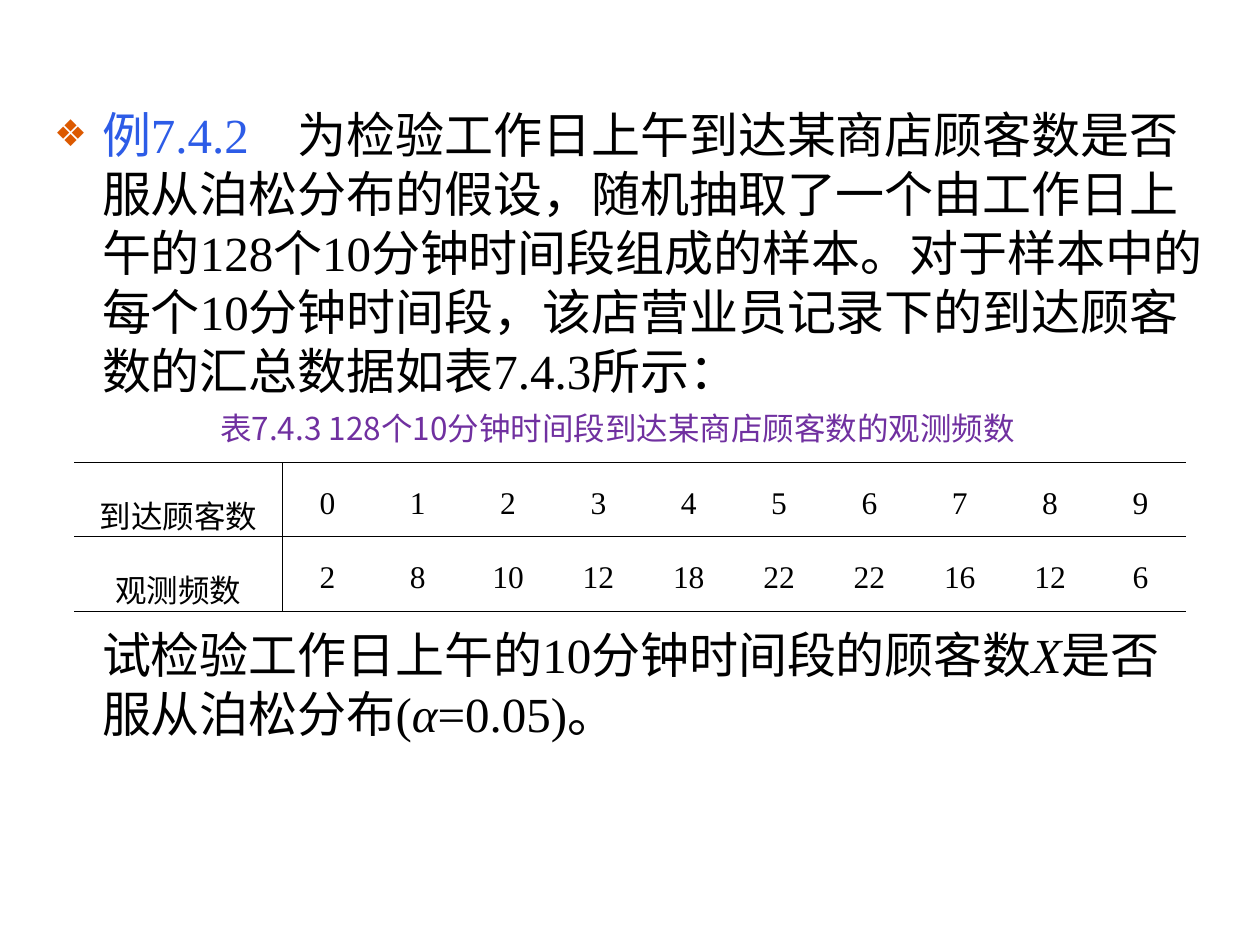
import pptx
import pptx.util
import pptx.dml.color
import pptx.enum.text
import pptx.oxml
import pptx.oxml.ns
from pptx.util import Inches
from lxml import etree

LATIN = "Times New Roman"
CJK = "Noto Sans CJK SC"
BLACK, BLUE, PURPLE, ORANGE = "000000", "2D5CE7", "7030A0", "DC5900"


def rgb(value):
    return pptx.dml.color.RGBColor.from_string(value)


def sub(parent, tag, **attrs):
    return etree.SubElement(parent, pptx.oxml.ns.qn(tag), attrs)


def add_run(p, text, size, color=BLACK, font=LATIN, italic=False):
    r = p.add_run()
    r.text = text
    r.font.size = pptx.util.Pt(size)
    r.font.name = font
    r.font.italic = italic
    r.font.color.rgb = rgb(color)
    sub(r.font._element, "a:ea", typeface=CJK)


def format_paragraph(p, bullet=None, before=0):
    """Hanging paragraph of the body, with or without a bullet."""
    pPr = p._p.get_or_add_pPr()
    pPr.set("marL", str(Inches(0.38)))
    pPr.set("indent", str(-Inches(0.38) if bullet else 0))
    if bullet:
        sub(sub(pPr, "a:buClr"), "a:srgbClr", val=ORANGE)
        sub(pPr, "a:buSzPct", val="75000")
        sub(pPr, "a:buChar", char=bullet)
    else:
        sub(pPr, "a:buNone")
    p.line_spacing = pptx.util.Pt(33.7)
    p.space_before = pptx.util.Pt(before)


def add_body(slide):
    sp = slide.placeholders[1]
    sp.left, sp.top = Inches(0.33), Inches(0.78)
    sp.width, sp.height = Inches(9.34), Inches(5.91)
    tf = sp.text_frame
    tf.word_wrap = True
    tf.auto_size = pptx.enum.text.MSO_AUTO_SIZE.NONE

    p = tf.paragraphs[0]
    format_paragraph(p, bullet="❖")
    add_run(p, "例7.4.2　", 28, BLUE)
    add_run(p, "为检验工作日上午到达某商店顾客数是否服从泊松分布的假设，"
               "随机抽取了一个由工作日上午的128个10分钟时间段组成的样本。"
               "对于样本中的每个10分钟时间段，该店营业员记录下的到达顾客数的"
               "汇总数据如表7.4.3所示：", 28)

    # The space before leaves room for the caption and the table
    p = tf.add_paragraph()
    format_paragraph(p, before=128.6)
    for text, italic in [("试检验工作日上午的10分钟时间段的顾客数", False), ("X", True),
                         ("是否服从泊松分布(", False), ("α", True), ("=0.05)。", False)]:
        add_run(p, text, 28, italic=italic)


def add_caption(slide, text):
    sp = slide.shapes.add_textbox(Inches(1.65), Inches(3.2), Inches(6.84), Inches(0.4))
    tf = sp.text_frame
    tf.word_wrap = False
    tf.vertical_anchor = pptx.enum.text.MSO_ANCHOR.MIDDLE
    add_run(tf.paragraphs[0], text, 18, PURPLE, CJK)


def set_borders(cell, visible):
    tcPr = cell._tc.get_or_add_tcPr()
    for side in ("L", "R", "T", "B"):
        ln = sub(tcPr, "a:ln" + side, w=str(pptx.util.Pt(0.45)))
        if side in visible:
            sub(sub(ln, "a:solidFill"), "a:srgbClr", val=BLACK)
        else:
            sub(ln, "a:noFill")


def add_frequency_table(slide, rows):
    count = len(rows[0])
    label_width, total_width, row_height = 1.65, 8.82, 0.59
    table = slide.shapes.add_table(len(rows), count, Inches(0.59), Inches(3.67),
                                   Inches(total_width), Inches(row_height * len(rows))).table
    table.first_row = table.horz_banding = False
    for i, column in enumerate(table.columns):
        column.width = Inches((total_width - label_width) / (count - 1) if i else label_width)
    for i, row in enumerate(rows):
        table.rows[i].height = Inches(row_height)
        for j, value in enumerate(row):
            cell = table.cell(i, j)
            cell.margin_left = cell.margin_right = Inches(0.08)
            # Only the label column is ruled off
            set_borders(cell, {0: "TBR", 1: "TBL"}.get(j, "TB"))
            cell.fill.background()
            p = cell.text_frame.paragraphs[0]
            p.alignment = pptx.enum.text.PP_ALIGN.CENTER
            p.line_spacing = 1.5
            add_run(p, str(value), 18)


def main():
    prs = pptx.Presentation()
    prs.slide_width, prs.slide_height = Inches(10), Inches(7.5)
    slide = prs.slides.add_slide(prs.slide_layouts[1])
    title = slide.shapes.title._element
    title.getparent().remove(title)

    add_body(slide)
    add_caption(slide, "表7.4.3 128个10分钟时间段到达某商店顾客数的观测频数")
    add_frequency_table(slide, [
        ["到达顾客数", *range(10)],
        ["观测频数", 2, 8, 10, 12, 18, 22, 22, 16, 12, 6],
    ])
    prs.save("out.pptx")


if __name__ == "__main__":
    main()
